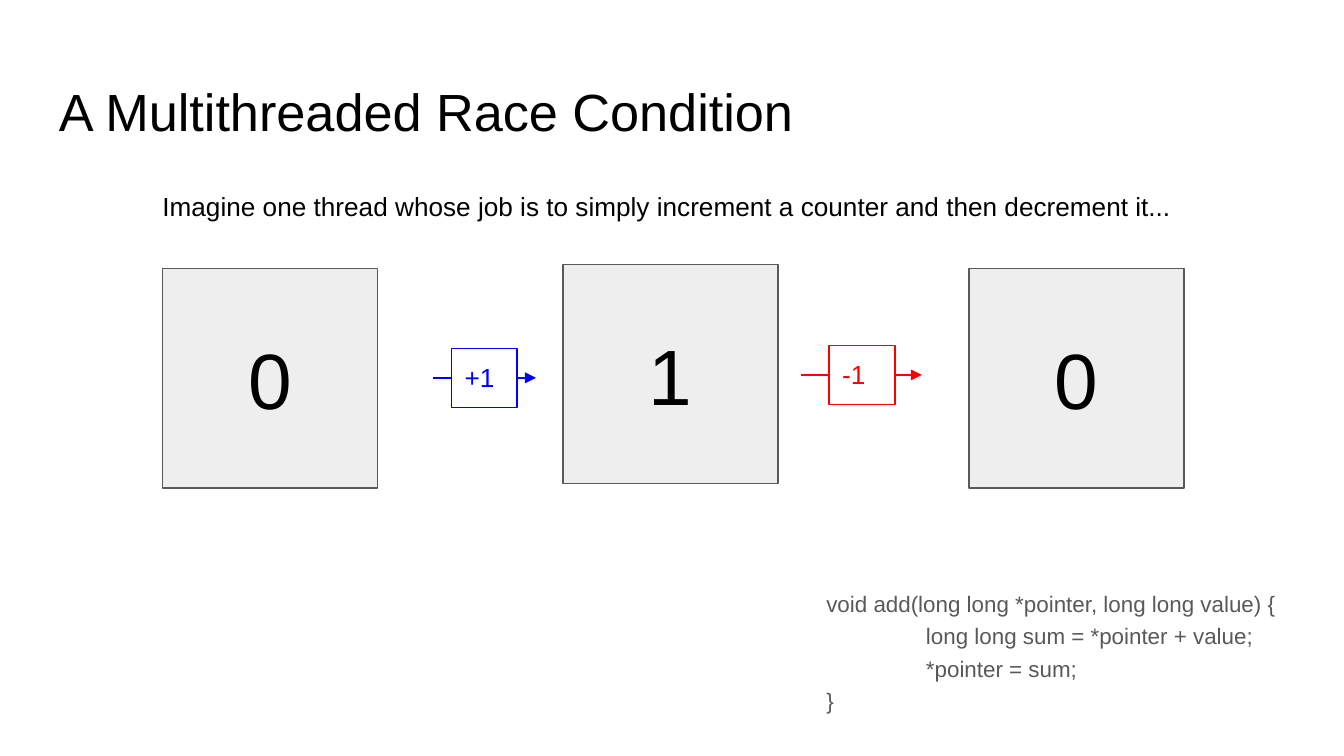
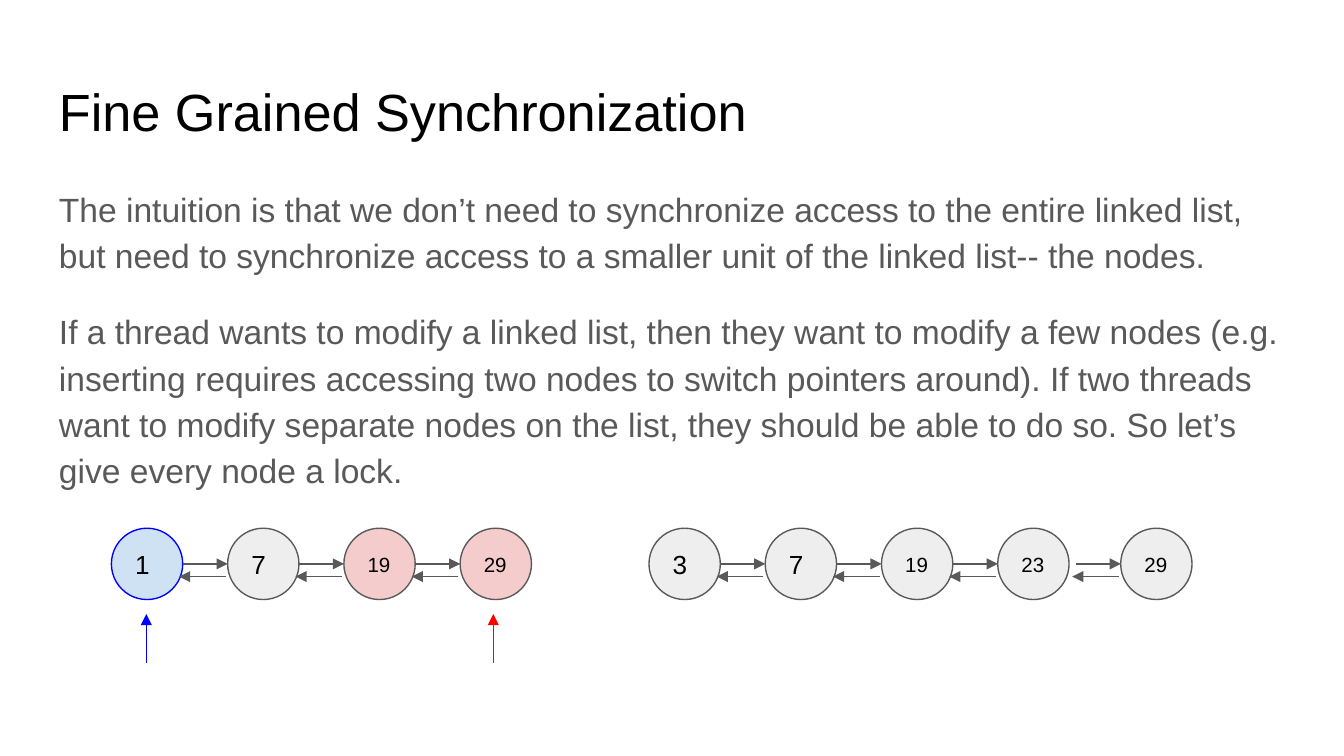
from lxml.etree import SubElement
from pptx import Presentation
from pptx.dml.color import RGBColor as Rgb
from pptx.enum.shapes import MSO_CONNECTOR as Link, MSO_SHAPE as Form
from pptx.enum.text import MSO_ANCHOR as Anchor, PP_ALIGN as Align
from pptx.oxml.ns import qn
from pptx.util import Pt

COLORS = {
    "black": "000000", "white": "FFFFFF", "gray": "595959", "pale": "EEEEEE",
    "blue": "0000FF", "red": "FF0000", "sky": "CFE2F3", "rose": "F4CCCC",
}
FONT = "Arial"
INSET = 7.2
LINE = 0.75
TITLE_BOX = (24.5, 35.3, 671, 45.4)


def color(name):
    return Rgb.from_string(COLORS[name])


def apply(target, values):
    for name, value in values.items():
        setattr(target, name, value)


# Shared parts
def write(shape, lines, size, ink="black", anchor=Anchor.TOP, **layout):
    """Fill a shape with paragraphs; layout holds paragraph attributes."""
    frame = shape.text_frame
    apply(frame, {"word_wrap": True, "vertical_anchor": anchor})
    apply(frame, {f"margin_{side}": Pt(INSET)
                  for side in ("left", "top", "right", "bottom")})
    for index, line in enumerate(lines):
        para = frame.add_paragraph() if index else frame.paragraphs[0]
        apply(para, {"alignment": Align.LEFT, **layout})
        span = para.add_run()
        span.text = line
        apply(span.font, {"size": Pt(size), "name": FONT})
        span.font.color.rgb = color(ink)
    return frame.paragraphs


def add_text(page, box, lines, size, ink="black", **layout):
    shape = page.shapes.add_textbox(*map(Pt, box))
    return write(shape, lines, size, ink, **layout)


def add_form(page, form, box, fill, line, text, size, **style):
    shape = page.shapes.add_shape(form, *map(Pt, box))
    shape.shadow.inherit = False
    shape.fill.solid()
    shape.fill.fore_color.rgb = color(fill)
    shape.line.color.rgb = color(line)
    shape.line.width = Pt(LINE)
    write(shape, [text], size, **style)


def add_arrow(page, start, end, ink):
    arrow = page.shapes.add_connector(Link.STRAIGHT, *map(Pt, start + end))
    arrow.line.color.rgb = color(ink)
    arrow.line.width = Pt(LINE)
    SubElement(arrow.line._get_or_add_ln(), qn("a:tailEnd"), type="triangle")
    SubElement(arrow._element.spPr, qn("a:effectLst"))


def add_page(deck, title):
    page = deck.slides.add_slide(deck.slide_layouts[6])
    add_text(page, TITLE_BOX, [title], 28)
    return page


# Counter states and the steps between them
def add_counter(page, left, top, value):
    add_form(page, Form.RECTANGLE, (left, top, 115.2, 117.4), "pale", "gray",
             value, 42, anchor=Anchor.MIDDLE, alignment=Align.CENTER)


def add_step(page, box, label, label_left, ink):
    left, top, width, height = box
    middle = top + height / 2
    add_arrow(page, (left, middle), (left + width, middle), ink)
    add_form(page, Form.RECTANGLE, (left + label_left, top, 35.3, height),
             "white", ink, label, 14, ink=ink)


def add_code(page, box):
    lines = [
        "void add(long long *pointer, long long value) {",
        "long long sum = *pointer + value;",
        "*pointer = sum;",
        "}",
    ]
    paras = add_text(page, box, lines, 12, "gray", line_spacing=0.1,
                     space_before=Pt(16))
    paras[0].space_before = Pt(0)
    for para in paras[1:3]:
        para._p.get_or_add_pPr().set("marL", str(Pt(53.4)))


def race_page(deck):
    page = add_page(deck, "A Multithreaded Race Condition")
    add_code(page, (435.6, 319.7, 266.4, 71.3))
    add_text(page, (79.9, 95, 559.4, 31.7), [
        "Imagine one thread whose job is to simply increment a counter "
        "and then decrement it..."], 14)
    for left, top, value in ((87.1, 144, "0"), (301.7, 141.8, "1"),
                             (519.1, 144, "0")):
        add_counter(page, left, top, value)
    add_step(page, (231.8, 186.6, 55.4, 31.7), "+1", 10, "blue")
    add_step(page, (429.1, 185, 64.8, 31.7), "-1", 15, "red")


# Doubly linked list
NODE = 38.2
PITCH = 62.28


def add_list(page, left, top, values, fills=None, lines=None, last_shift=0):
    """Draw a row of nodes; fills and lines map an index to a colour."""
    fills, lines = fills or {}, lines or {}
    for index, value in enumerate(values):
        shift = last_shift if index == len(values) - 1 else 0
        x = left + index * PITCH + shift
        add_form(page, Form.OVAL, (x, top, NODE, NODE),
                 fills.get(index, "pale"), lines.get(index, "gray"),
                 value, 14 if len(value) == 1 else 11, anchor=Anchor.MIDDLE)
        if index:
            ahead, back = top + NODE / 2, top + 25.9
            add_arrow(page, (x - PITCH + NODE, ahead), (x, ahead), "gray")
            add_arrow(page, (x - 1, back), (x - 26, back), "gray")


def add_pointer(page, x, top, ink):
    add_arrow(page, (x, top + 26), (x, top), ink)


def locking_page(deck):
    page = add_page(deck, "Fine Grained Synchronization")
    paras = add_text(page, (24.5, 90.7, 671, 269.3), [
        "The intuition is that we don’t need to synchronize access to the "
        "entire linked list, but need to synchronize access to a smaller "
        "unit of the linked list-- the nodes.",
        "If a thread wants to modify a linked list, then they want to modify "
        "a few nodes (e.g. inserting requires accessing two nodes to switch "
        "pointers around). If two threads want to modify separate nodes on "
        "the list, they should be able to do so. So let’s give every node "
        "a lock.",
    ], 18, "gray", line_spacing=1.15)
    apply(paras[1], {"space_before": Pt(16), "space_after": Pt(16)})
    add_list(page, 59.7, 283, ["1", "7", "19", "29"],
             fills={0: "sky", 2: "rose", 3: "rose"}, lines={0: "blue"})
    add_list(page, 347.7, 283, ["3", "7", "19", "23", "29"], last_shift=3.6)
    add_pointer(page, 78.4, 329, "blue")
    add_pointer(page, 264.3, 329, "red")


def main():
    deck = Presentation()
    apply(deck, {"slide_width": Pt(720), "slide_height": Pt(405)})
    race_page(deck)
    locking_page(deck)
    deck.save("out.pptx")


if __name__ == "__main__":
    main()
